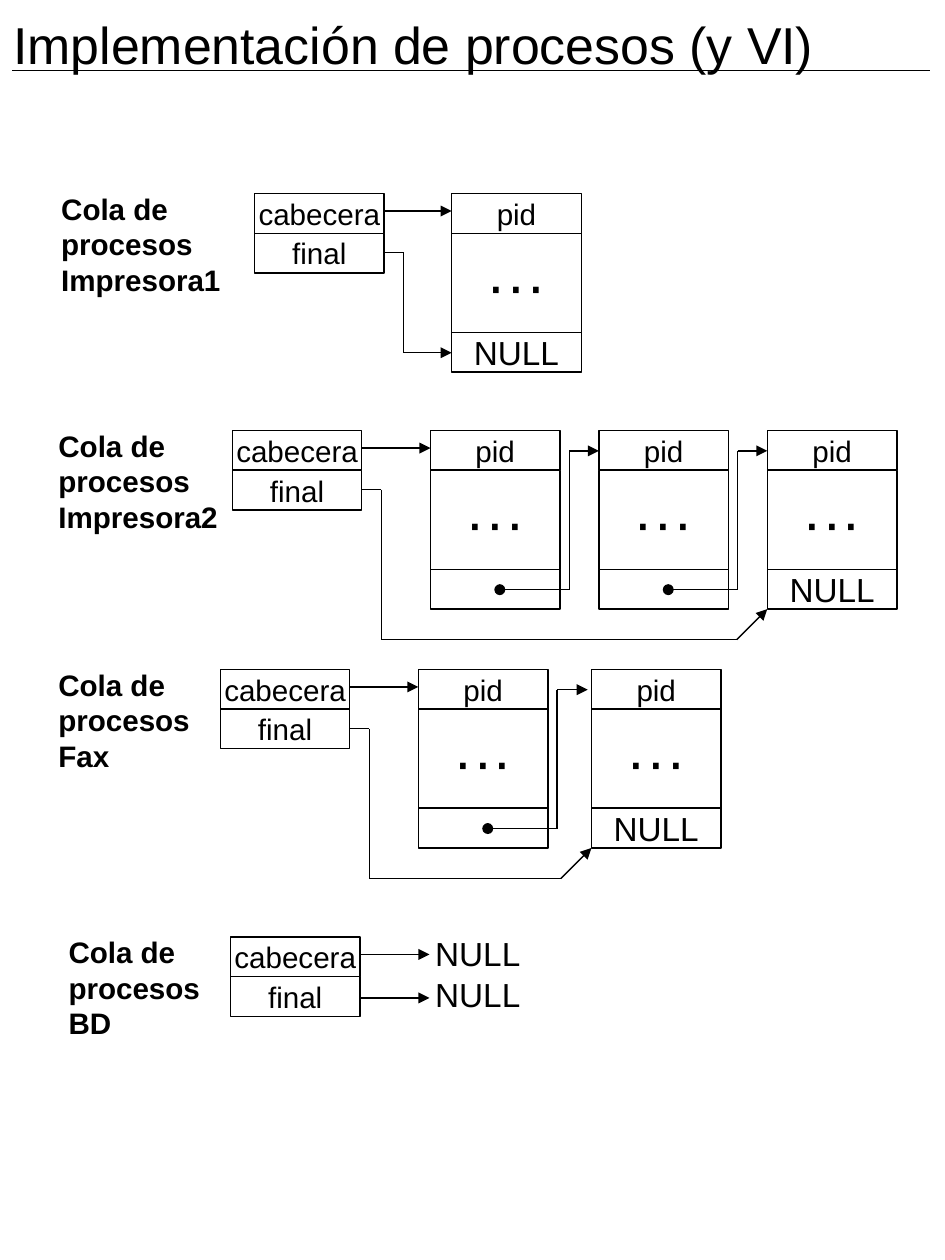
from itertools import pairwise

from lxml.etree import SubElement
from pptx import Presentation
from pptx.dml.color import RGBColor
from pptx.enum.shapes import MSO_CONNECTOR, MSO_SHAPE
from pptx.enum.text import MSO_ANCHOR, MSO_AUTO_SIZE, PP_ALIGN
from pptx.oxml.ns import qn
from pptx.util import Pt

BLACK = RGBColor(0, 0, 0)
WHITE = RGBColor(255, 255, 255)
FONT = "Arial"
LINE_WIDTH = 0.74

# Cell sizes shared by queue headers and process nodes
CELL_WIDTH = 70
CELL_HEIGHT = 21.5
BODY_HEIGHT = 53.5
NODE_HEIGHT = 2 * CELL_HEIGHT + BODY_HEIGHT

# Heights of the arrows below the top of their queue
HEAD_Y = 9.5
FINAL_Y = 32
LINK_Y = 86
DETOUR_Y = 113

# label, label left, label width, header left, top, node lefts, gap before linked node
QUEUES = [
    ("Cola de procesos Impresora1", 26, 106, 137.5, 104.5, [244], 0),
    ("Cola de procesos Impresora2", 24.5, 110, 125.5, 232.5, [232.5, 323.5, 414.5], 0),
    ("Cola de procesos Fax", 24.5, 91.5, 119, 361.5, [226, 319.5], 2),
    ("Cola de procesos BD", 30, 91.5, 124.5, 506, [], 0),
]


def write(shape, text, size, bold=False, align=PP_ALIGN.LEFT, anchor=MSO_ANCHOR.TOP, wrap=True):
    frame = shape.text_frame
    frame.auto_size = MSO_AUTO_SIZE.NONE
    frame.word_wrap = wrap
    frame.vertical_anchor = anchor
    paragraph = frame.paragraphs[0]
    paragraph.alignment = align
    run = paragraph.add_run()
    run.text = text
    run.font.name = FONT
    run.font.size = Pt(size)
    run.font.bold = bold
    run.font.color.rgb = BLACK


def draw_route(points, start=None, end=None):
    """Draw straight connectors through the points, with optional end marks."""
    segments = list(pairwise(points))
    for index, (begin, finish) in enumerate(segments):
        connector = slide.shapes.add_connector(
            MSO_CONNECTOR.STRAIGHT, *(Pt(value) for value in begin + finish))
        connector.line.color.rgb = BLACK
        connector.line.width = Pt(LINE_WIDTH)
        outline = connector.line._get_or_add_ln()
        if start and index == 0:
            SubElement(outline, qn("a:headEnd"), type=start)
        if end and index == len(segments) - 1:
            SubElement(outline, qn("a:tailEnd"), type=end)
        SubElement(connector._element.spPr, qn("a:effectLst"))


presentation = Presentation()
presentation.slide_width = Pt(510.5)
presentation.slide_height = Pt(680.5)
slide = presentation.slides.add_slide(presentation.slide_layouts[5])

# Title and rule
title = slide.shapes.title
title.left, title.top, title.width, title.height = Pt(0), Pt(3), Pt(510.5), Pt(41)
write(title, "Implementación de procesos (y VI)", 28)
draw_route([(6.5, 38), (502.5, 38)])

for label, label_left, label_width, header_left, top, node_lefts, link_gap in QUEUES:
    # Queue label
    label_box = slide.shapes.add_textbox(Pt(label_left), Pt(top - 5), Pt(label_width), Pt(65))
    write(label_box, label, 16, bold=True)

    # Header and node cells: left, top, height, text, size
    cells = [
        (header_left, top, CELL_HEIGHT, "cabecera", 16),
        (header_left, top + CELL_HEIGHT, CELL_HEIGHT, "final", 16),
    ]
    for node_left in node_lefts:
        pointer = "NULL" if node_left == node_lefts[-1] else ""
        cells += [
            (node_left, top, CELL_HEIGHT, "pid", 16),
            (node_left, top + CELL_HEIGHT, BODY_HEIGHT, "···", 32),
            (node_left, top + CELL_HEIGHT + BODY_HEIGHT, CELL_HEIGHT, pointer, 18),
        ]
    for left, cell_top, height, text, size in cells:
        cell = slide.shapes.add_shape(
            MSO_SHAPE.RECTANGLE, Pt(left), Pt(cell_top), Pt(CELL_WIDTH), Pt(height))
        cell.shadow.inherit = False
        cell.fill.solid()
        cell.fill.fore_color.rgb = WHITE
        cell.line.color.rgb = BLACK
        cell.line.width = Pt(LINE_WIDTH)
        if text:
            write(cell, text, size, align=PP_ALIGN.CENTER, anchor=MSO_ANCHOR.MIDDLE, wrap=False)

    # Arrow from "cabecera"
    header_right = header_left + CELL_WIDTH
    head_target = node_lefts[0] if node_lefts else header_right + 37.5
    draw_route([(header_right, top + HEAD_Y), (head_target, top + HEAD_Y)], end="triangle")

    # Arrow from "final"
    final_route = [(header_right, top + FINAL_Y)]
    bend = header_right + 10.5
    if not node_lefts:
        final_route = [(header_right, top + 33), (head_target, top + 33)]
    elif len(node_lefts) == 1:
        final_route += [(bend, top + FINAL_Y), (bend, top + LINK_Y), (head_target, top + LINK_Y)]
    else:
        last = node_lefts[-1]
        final_route += [(bend, top + FINAL_Y), (bend, top + DETOUR_Y),
                        (last - 16.5, top + DETOUR_Y), (last, top + NODE_HEIGHT)]
    draw_route(final_route, end="triangle")

    # Links between consecutive nodes
    for node_left, next_left in pairwise(node_lefts):
        bend = node_left + CELL_WIDTH + 5
        draw_route([(node_left + 37.5, top + LINK_Y), (bend, top + LINK_Y),
                    (bend, top + 11), (next_left - link_gap, top + 11)],
                   start="oval", end="triangle")

    # Empty queue: both pointers lead to NULL
    if not node_lefts:
        for null_top in (top - 5.5, top + 16.5):
            null_box = slide.shapes.add_textbox(Pt(228), Pt(null_top), Pt(CELL_WIDTH), Pt(29))
            write(null_box, "NULL", 18)

presentation.save("out.pptx")
